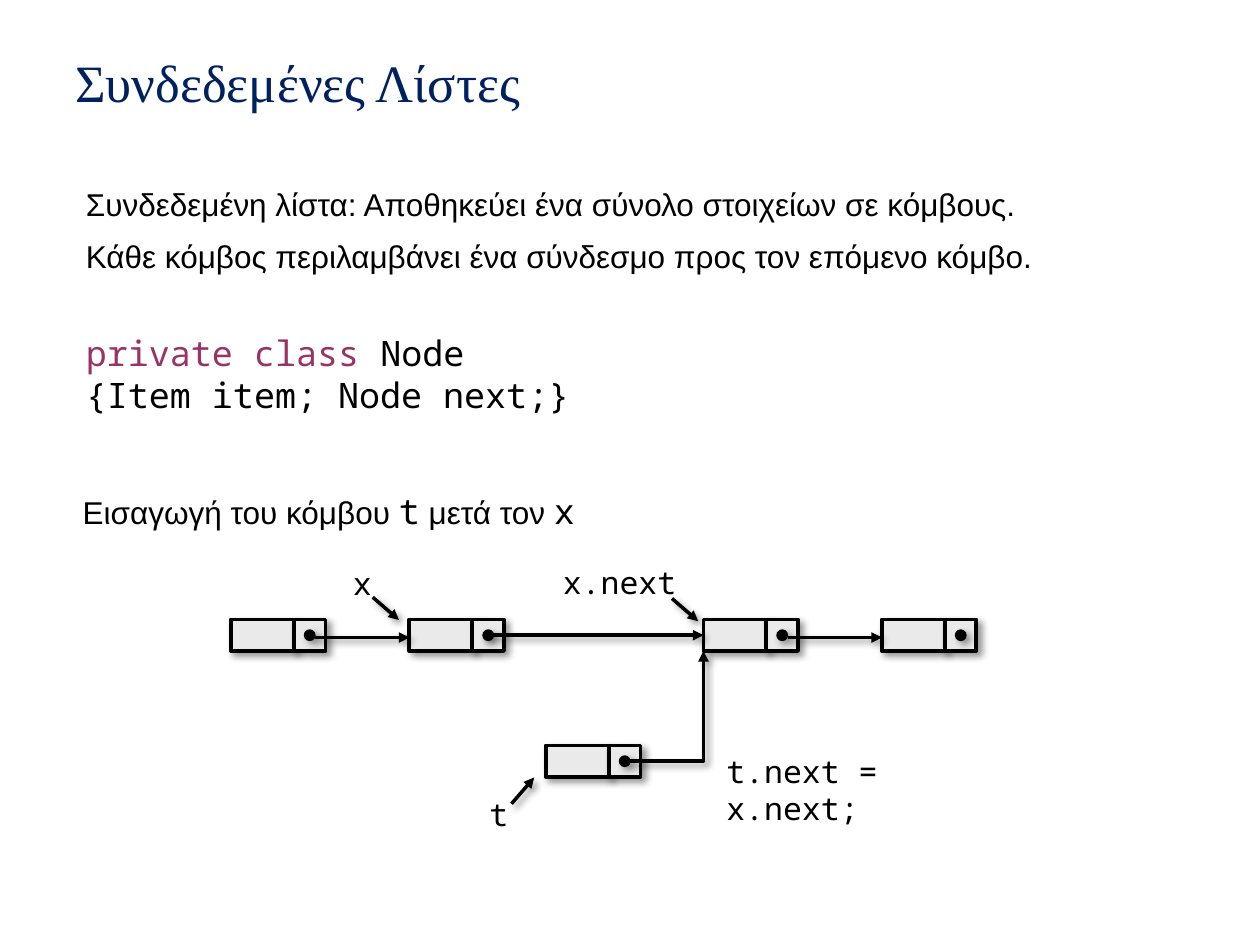
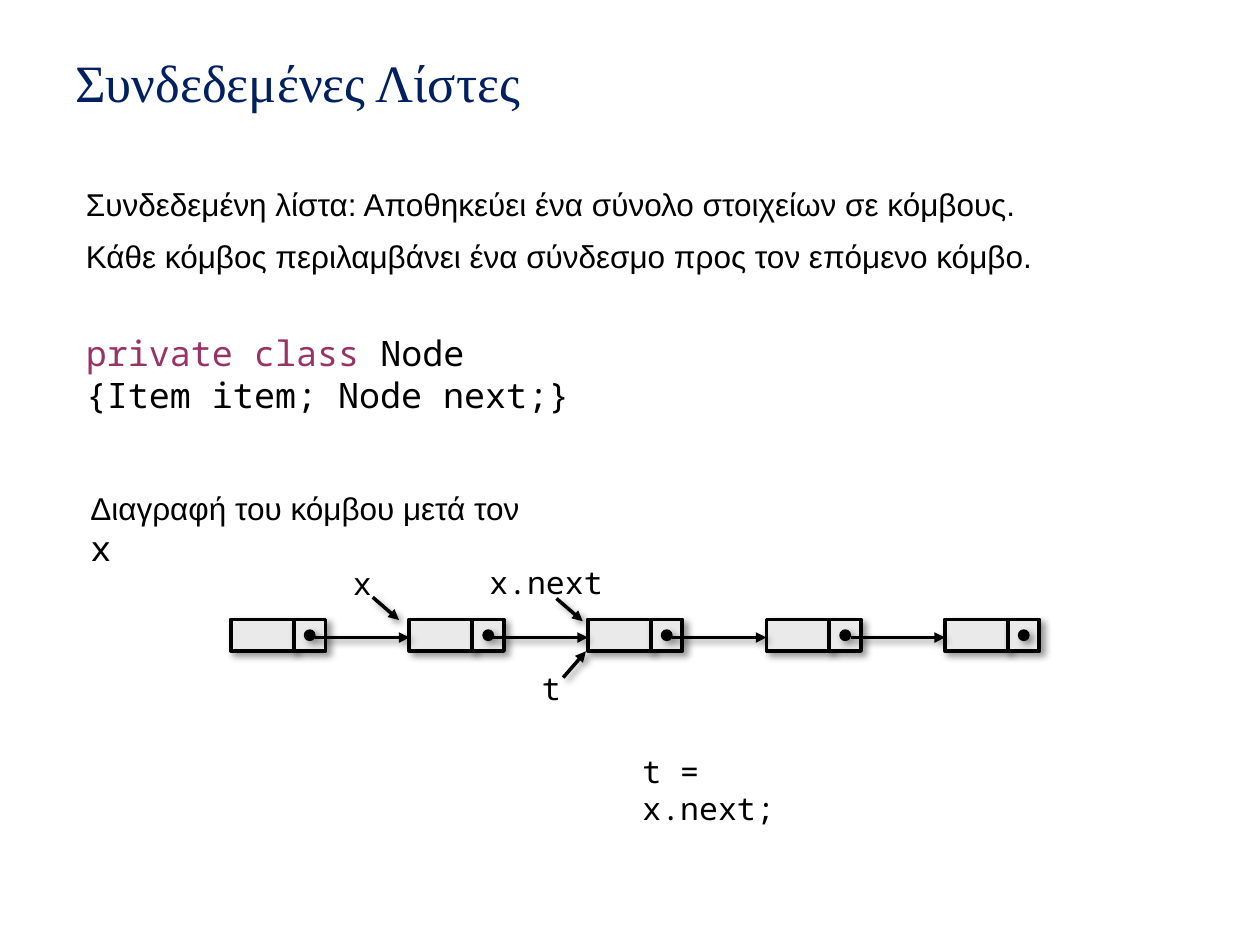
"""Build two slides on inserting and deleting nodes in a linked list."""
import lxml.etree
import pptx
import pptx.dml.color
import pptx.enum.shapes
import pptx.enum.text
import pptx.oxml.ns
import pptx.util

TITLE = "Συνδεδεμένες Λίστες"
FACTS = [
    ("Συνδεδεμένη λίστα: Αποθηκεύει ένα σύνολο στοιχείων σε κόμβους.", (42, 102, 636, 36)),
    ("Κάθε κόμβος περιλαμβάνει ένα σύνδεσμο προς τον επόμενο κόμβο.", (42, 132, 582, 28.8)),
]
NODE_CLASS = [
    [("private class", "keyword"), (" Node", "code")],
    [("{Item item; Node next;}", "code")],
]
SLIDES = [
    {
        "heading": [("Εισαγωγή του κόμβου ", "body"), ("t", "code"),
                    (" μετά τον ", "body"), ("x", "code")],
        "heading_area": (39.6, 276, 296.6, 31.7),
        "heading_format": {"align": "CENTER", "wrap": False},
        "nodes": [132, 234, 402, 504],
        "long_link": 1,
        "new_node": (312, 426, 402),
        "labels": [("x.next", 312, 318, 84, "CENTER"), ("x", 180, 319, 54, "CENTER"),
                   ("t", 258, 451, 54, "CENTER"), ("t.next = x.next;", 408, 426, 180, "LEFT")],
        "pointers": [("down", 399, 355), ("down", 228, 354.3), ("up", 305.3, 444.3)],
    },
    {
        "heading": [("Διαγραφή του κόμβου μετά τον ", "body"), ("x", "code")],
        "heading_area": (44.6, 276, 275.8, 31.7),
        "heading_format": {},
        "nodes": [132 + 102 * index for index in range(5)],
        "long_link": None,
        "new_node": None,
        "labels": [("x", 180, 319, 54, "CENTER"), ("x.next", 258, 318, 108, "CENTER"),
                   ("t", 288, 379, 54, "CENTER"), ("t = x.next;", 360, 426, 126, "LEFT")],
        "pointers": [("down", 333, 355), ("down", 228, 354.3), ("up", 334.8, 372.2)],
    },
]

THEME = {
    "ink": "000000",
    "node": "EAEAEA",
    "border": 2.25,
    "dot_border": 0.75,
    "arrow": 2,
    "title": {"name": "Times New Roman", "size": 30, "color": "002060"},
    "body": {"name": "Arial", "size": 18, "color": "000000"},
    "code": {"name": "Noto Sans Mono", "size": 20, "color": "000000"},
    "keyword": {"name": "Noto Sans Mono", "size": 20, "color": "993366"},
    "label": {"name": "Noto Sans Mono", "size": 18, "color": "000000"},
}
ROW_TOP = 354
CELL = 18
DOT = 6
LINK_DROP = 10.3
POINTER_REACH = {"down": (15, 13), "up": (13, -15)}

Pt = pptx.util.Pt
SHAPES = pptx.enum.shapes.MSO_SHAPE
CONNECTORS = pptx.enum.shapes.MSO_CONNECTOR
qn = pptx.oxml.ns.qn


def points(values):
    return [Pt(value) for value in values]


def rgb(value):
    return pptx.dml.color.RGBColor.from_string(value)


def set_all(target, values):
    for name, value in values.items():
        setattr(target, name, value)


def add_text(page, area, paragraphs, align="LEFT", wrap=True, inset=3.6):
    frame = page.shapes.add_textbox(*points(area)).text_frame
    set_all(frame, {"word_wrap": wrap, "margin_top": Pt(inset)})
    for index, spans in enumerate(paragraphs):
        para = frame.add_paragraph() if index else frame.paragraphs[0]
        para.alignment = getattr(pptx.enum.text.PP_ALIGN, align)
        for text, style in spans:
            span = para.add_run()
            span.text = text
            look = THEME[style]
            set_all(span.font, {"name": look["name"], "size": Pt(look["size"])})
            span.font.color.rgb = rgb(look["color"])


def add_shadow(item):
    effects = lxml.etree.SubElement(item.element.spPr, qn("a:effectLst"))
    shadow = lxml.etree.SubElement(effects, qn("a:outerShdw"), blurRad=str(Pt(4)),
                                   dist=str(Pt(3)), dir="2700000", algn="ctr", rotWithShape="0")
    color = lxml.etree.SubElement(shadow, qn("a:srgbClr"), val=THEME["ink"])
    lxml.etree.SubElement(color, qn("a:alpha"), val="40000")


def outline(item, width):
    item.line.color.rgb = rgb(THEME["ink"])
    item.line.width = Pt(width)
    add_shadow(item)


def add_part(page, kind, area, fill, border):
    box = page.shapes.add_shape(kind, *points(area))
    box.fill.solid()
    box.fill.fore_color.rgb = rgb(fill)
    outline(box, border)
    return box


def add_node(page, left, top):
    item = add_part(page, SHAPES.RECTANGLE, (left, top, 2 * CELL, CELL),
                    THEME["node"], THEME["border"])
    add_part(page, SHAPES.RECTANGLE, (left + 2 * CELL, top, CELL, CELL),
             THEME["node"], THEME["border"])
    inset = (CELL - DOT) / 2
    add_part(page, SHAPES.OVAL, (left + 2 * CELL + inset, top + inset, DOT, DOT),
             THEME["ink"], THEME["dot_border"])
    return item


def add_arrow(page, start, end, kind=CONNECTORS.STRAIGHT):
    arrow = page.shapes.add_connector(kind, *points(start + end))
    outline(arrow, THEME["arrow"])
    lxml.etree.SubElement(arrow.element.spPr.find(qn("a:ln")), qn("a:tailEnd"), type="triangle")
    return arrow


def add_links(page, lefts, items, long_link):
    for index, (left, following) in enumerate(zip(lefts, lefts[1:])):
        if index == long_link:
            middle = ROW_TOP + CELL / 2
            arrow = add_arrow(page, (left + 42, middle), (following, middle))
            arrow.end_connect(items[index + 1], 1)
        else:
            height = ROW_TOP + LINK_DROP
            add_arrow(page, (left + 48, height), (following, height))


def add_new_node(page, left, top, target):
    add_node(page, left, top)
    arrow = add_arrow(page, (left + 48, top + CELL / 2), (target, ROW_TOP + CELL),
                      CONNECTORS.ELBOW)
    arrow.element.spPr.find(qn("a:prstGeom")).set("prst", "bentConnector2")


def build_slide(deck, content):
    page = deck.slides.add_slide(deck.slide_layouts[6])
    add_text(page, (36, 21.6, 648, 38.2), [[(TITLE, "title")]], inset=7.2)
    for text, area in FACTS:
        add_text(page, area, [[(text, "body")]])
    add_text(page, (42, 186, 292.3, 55.4), NODE_CLASS, wrap=False)
    add_text(page, content["heading_area"], [content["heading"]], **content["heading_format"])
    items = [add_node(page, left, ROW_TOP) for left in content["nodes"]]
    add_links(page, content["nodes"], items, content["long_link"])
    if content["new_node"]:
        add_new_node(page, *content["new_node"])
    for text, left, top, width, align in content["labels"]:
        add_text(page, (left, top, width, 28.8), [[(text, "label")]], align)
    for direction, x, y in content["pointers"]:
        across, down = POINTER_REACH[direction]
        add_arrow(page, (x - across, y - down), (x, y))


def main():
    deck = pptx.Presentation()
    set_all(deck, {"slide_width": Pt(720), "slide_height": Pt(540)})
    for content in SLIDES:
        build_slide(deck, content)
    deck.save("out.pptx")


if __name__ == "__main__":
    main()
